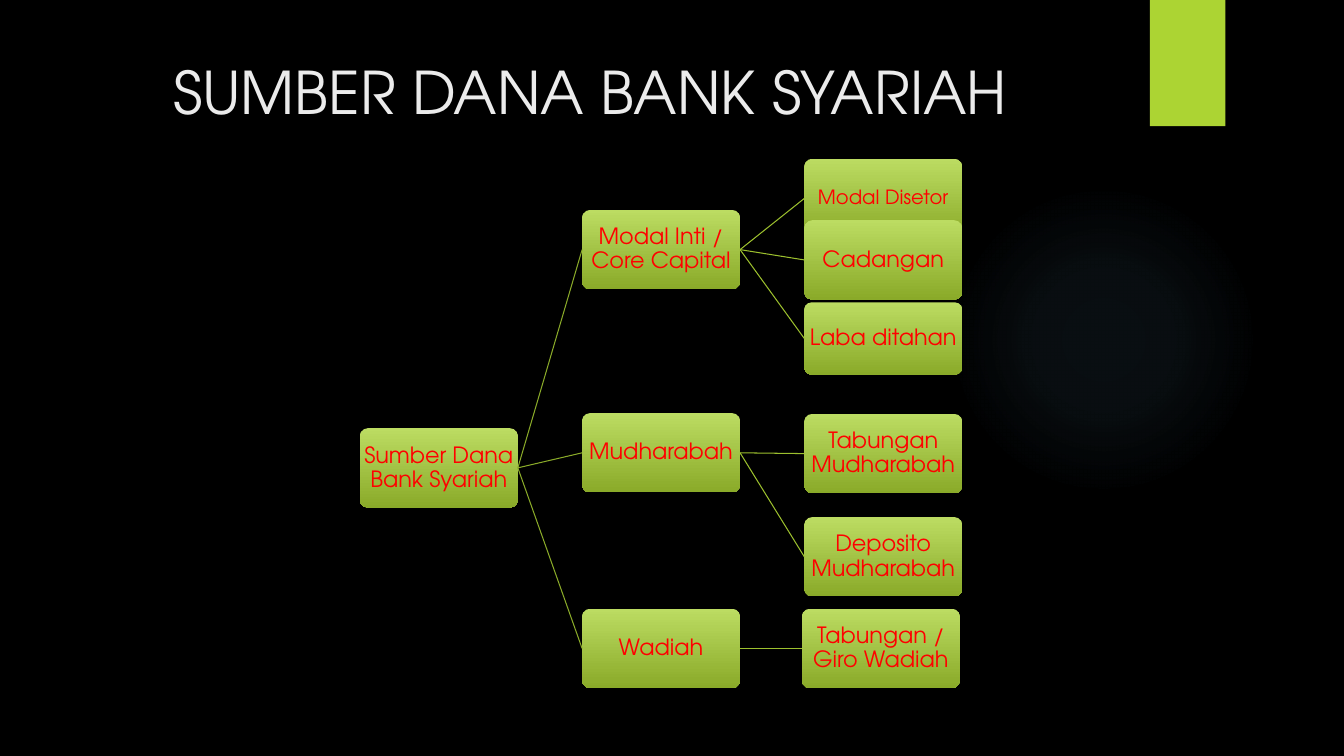
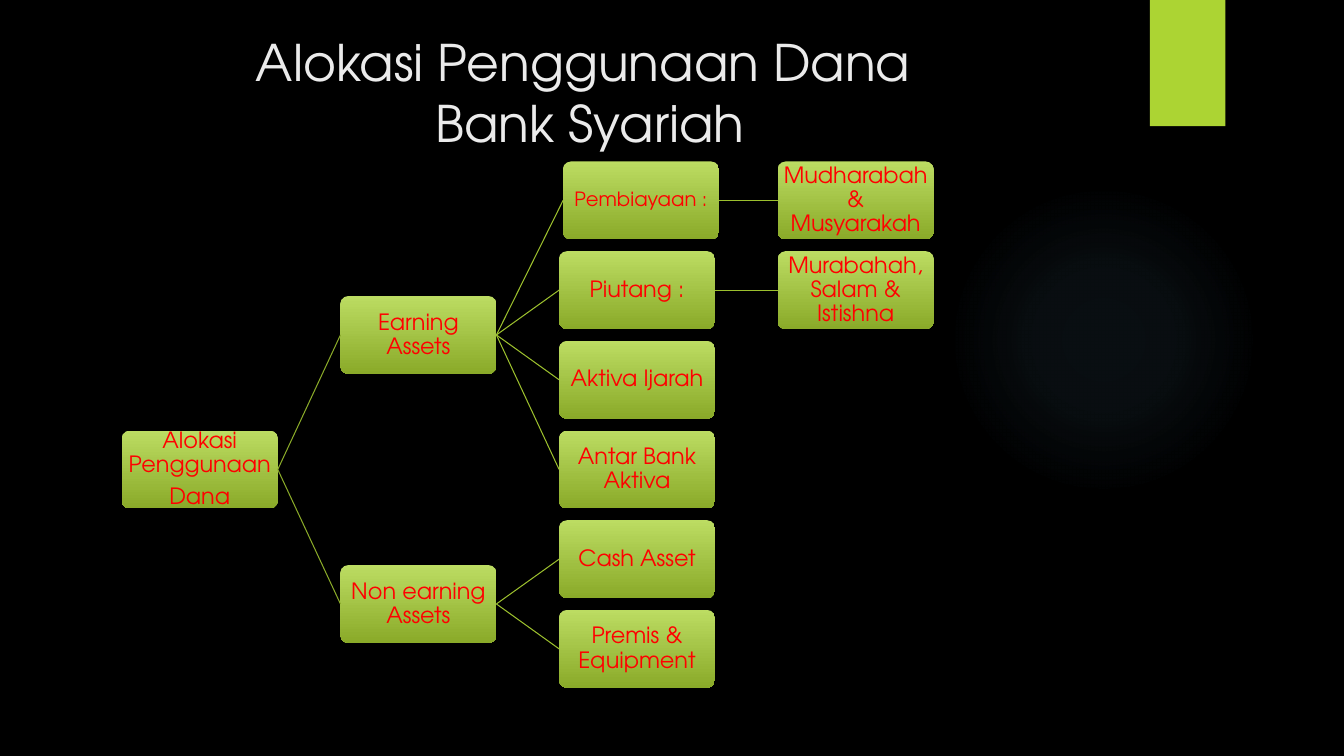
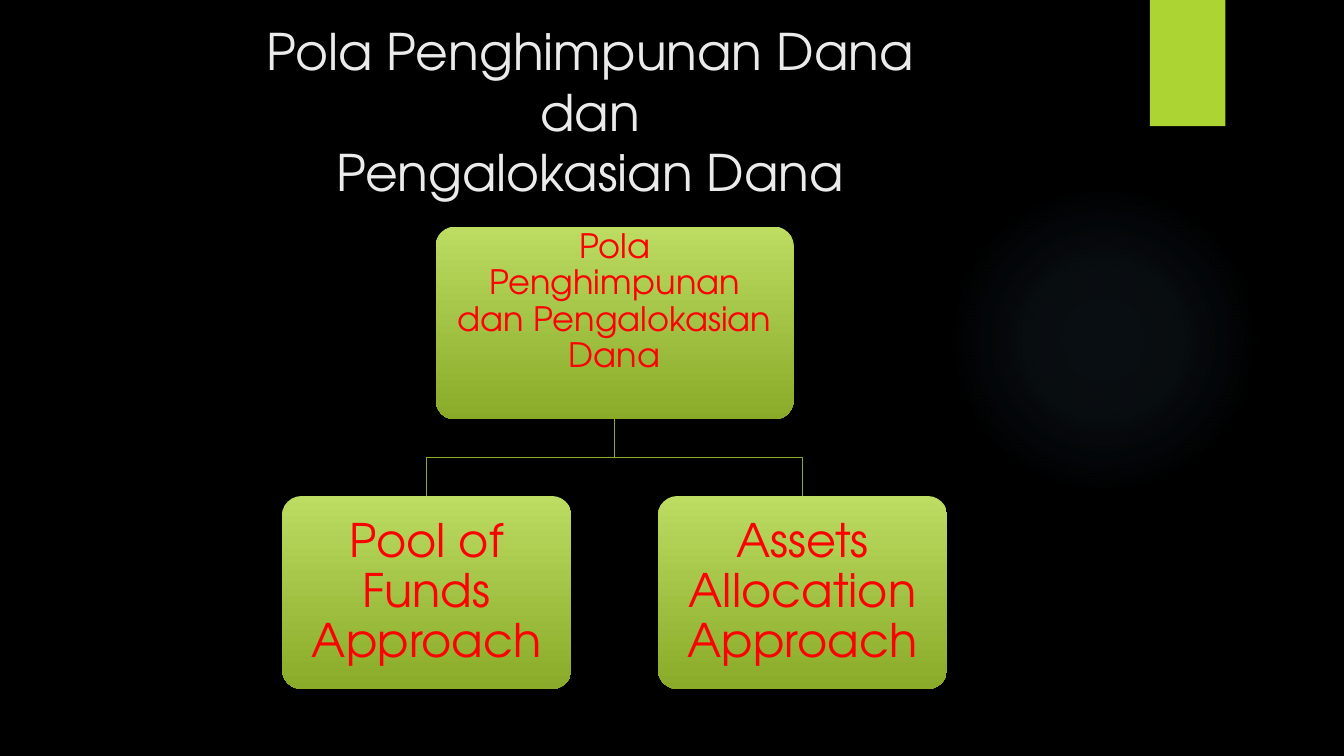
"""Three slides on the sources and uses of funds in sharia banking."""
from dataclasses import dataclass

from lxml import etree
from pptx import Presentation
from pptx.dml.color import RGBColor
from pptx.enum.shapes import MSO_CONNECTOR, MSO_SHAPE
from pptx.enum.text import MSO_ANCHOR, MSO_AUTO_SIZE, PP_ALIGN
from pptx.oxml import parse_xml
from pptx.oxml.ns import qn
from pptx.util import Cm, Pt

ROUND, RECT, OVAL = MSO_SHAPE.ROUNDED_RECTANGLE, MSO_SHAPE.RECTANGLE, MSO_SHAPE.OVAL
STRAIGHT = MSO_CONNECTOR.STRAIGHT
CENTER, TOP, MIDDLE = PP_ALIGN.CENTER, MSO_ANCHOR.TOP, MSO_ANCHOR.MIDDLE
TITLE_ONLY = 5
LEFT_SIDE, RIGHT_SIDE = 1, 3


@dataclass(frozen=True)
class Theme:
    """Colours, font and type sizes."""
    font: str = "TeX Gyre Adventor"
    back: str = "000000"
    title: str = "EBEBEB"
    label: str = "FF0000"
    accent: str = "ACD433"
    glow: str = "7AC4F0"
    box_top: str = "BCDC62"
    box_bottom: str = "8AAA29"
    trunk: str = "8AAA29"
    branch: str = "9CC02E"
    title_big: int = 42
    title_size: int = 36
    node: int = 16
    node_small: int = 14
    chart_root: int = 24
    chart_leaf: int = 33
    line: float = 0.75


T = Theme()

SOURCES = {
    "title": ("SUMBER DANA BANK SYARIAH", 1.27, 3.89, T.title_big),
    "left": 9.07, "step": 5.6, "box": (3.98, 2.0),
    "nodes": [
        ("Sumber Dana Bank Syariah", None, 10.79, {}),
        ("Modal Inti / Core Capital", 0, 5.29, {}),
        ("Modal Disetor", 1, 4.0, {"size": T.node_small}),
        ("Cadangan", 1, 5.55, {}),
        ("Laba ditahan", 1, 7.62, {"height": 1.82}),
        ("Mudharabah", 0, 10.41, {}),
        ("Tabungan Mudharabah", 5, 10.43, {}),
        ("Deposito Mudharabah", 5, 13.03, {}),
        ("Wadiah", 0, 15.34, {}),
        ("Tabungan / Giro Wadiah", 8, 15.34, {"shift": -0.06}),
    ],
}

ROW_TOP, ROW_STEP = 4.07, 2.26
USE_ROWS = [
    ("Alokasi Penggunaan\nDana", None, 3, {}),
    ("Earning Assets", 0, 1.5, {}),
    ("Pembiayaan :", 1, 0, {"size": T.node_small, "shift": 0.1}),
    ("Mudharabah & Musyarakah", 2, 0, {}),
    ("Piutang :", 1, 1, {}),
    ("Murabahah, Salam & Istishna", 4, 1, {}),
    ("Aktiva Ijarah", 1, 2, {}),
    ("Antar Bank Aktiva", 1, 3, {}),
    ("Non earning Assets", 0, 4.5, {}),
    ("Cash Asset", 8, 4, {}),
    ("Premis & Equipment", 8, 5, {}),
]
USES = {
    "title": ("Alokasi Penggunaan Dana \nBank Syariah", 0.66, 2.46, T.title_size),
    "left": 3.07, "step": 5.51, "box": (3.93, 1.96),
    "nodes": [(text, parent, ROW_TOP + ROW_STEP * row, opts)
              for text, parent, row, opts in USE_ROWS],
}

PATTERN_TITLE = ("Pola Penghimpunan Dana\ndan\nPengalokasian Dana", 0.38, 3.89, T.title_size)
PATTERN_ROOT = "Pola Penghimpunan dan Pengalokasian Dana"
PATTERN_LEAVES = ["Pool of Funds Approach", "Assets Allocation Approach"]


def rgb(value):
    return RGBColor.from_string(value)


def add_text(tf, text, *, size, color, spacing=1.0, after=0, anchor=MIDDLE, insets=None):
    tf.word_wrap = True
    tf.auto_size = MSO_AUTO_SIZE.NONE
    tf.vertical_anchor = anchor
    if insets:
        tf.margin_left, tf.margin_top, tf.margin_right, tf.margin_bottom = map(Cm, insets)
    for i, line in enumerate(text.split("\n")):
        p = tf.add_paragraph() if i else tf.paragraphs[0]
        p.alignment = CENTER
        p.line_spacing = spacing
        p.space_after = Pt(after)
        r = p.add_run()
        r.text = line
        r.font.name, r.font.size = T.font, Pt(size)
        r.font.color.rgb = rgb(color)


def add_plain(slide, kind, left, top, width, height):
    sp = slide.shapes.add_shape(kind, Cm(left), Cm(top), Cm(width), Cm(height))
    sp.shadow.inherit = False
    sp.line.fill.background()
    return sp


def add_box(slide, text, left, top, width, height, *, size, insets):
    sp = add_plain(slide, ROUND, left, top, width, height)
    sp.adjustments[0] = 0.1
    sp.fill.gradient()
    sp.fill.gradient_angle = 270
    for stop, color in zip(sp.fill.gradient_stops, (T.box_top, T.box_bottom)):
        stop.color.rgb = rgb(color)
    add_text(sp.text_frame, text, size=size, color=T.label, spacing=0.9,
             after=0.35 * size, insets=insets)
    return sp


def add_link(slide, parent, child, color):
    c = slide.shapes.add_connector(STRAIGHT, 0, 0, 0, 0)
    c.begin_connect(parent, RIGHT_SIDE)
    c.end_connect(child, LEFT_SIDE)
    c.line.color.rgb = rgb(color)
    c.line.width = Pt(T.line)
    etree.SubElement(c.element.spPr, qn("a:effectLst"))


def add_glow(slide):
    sp = add_plain(slide, OVAL, 23.9, 4.65, 7.82, 7.82)
    stops = "".join(
        f'<a:gs pos="{pos * 1000}"><a:srgbClr val="{T.glow}">'
        f'<a:alpha val="{alpha * 1000}"/></a:srgbClr></a:gs>'
        for pos, alpha in ((0, 7), (36, 6), (69, 0)))
    grad = parse_xml(
        '<a:gradFill xmlns:a="http://schemas.openxmlformats.org/drawingml/2006/main">'
        f'<a:gsLst>{stops}</a:gsLst><a:path path="circle">'
        '<a:fillToRect l="50000" t="50000" r="50000" b="50000"/></a:path></a:gradFill>')
    sp.element.spPr.find(qn("a:prstGeom")).addnext(grad)
    return sp


def add_tab(slide):
    sp = add_plain(slide, RECT, 28.98, 0, 1.9, 3.18)
    sp.fill.solid()
    sp.fill.fore_color.rgb = rgb(T.accent)
    return sp


def decorate_master(prs, slide):
    master = prs.slide_master
    master.background.fill.solid()
    master.background.fill.fore_color.rgb = rgb(T.back)
    for i, sp in enumerate((add_glow(slide), add_tab(slide))):
        sp.element.nvSpPr.cNvPr.set("id", str(101 + i))
        master.shapes.element.insert(2 + i, sp.element)


def new_slide(prs, title):
    text, top, height, size = title
    slide = prs.slides.add_slide(prs.slide_layouts[TITLE_ONLY])
    sp = slide.shapes.title
    sp.left, sp.top, sp.width, sp.height = Cm(1.8), Cm(top), Cm(26.14), Cm(height)
    add_text(sp.text_frame, text, size=size, color=T.title, anchor=TOP)
    return slide


def add_tree(prs, tree):
    slide = new_slide(prs, tree["title"])
    width, height = tree["box"]
    boxes, levels = [], []
    for text, parent, top, opts in tree["nodes"]:
        level = 0 if parent is None else levels[parent] + 1
        left = tree["left"] + tree["step"] * level + opts.get("shift", 0)
        sp = add_box(slide, text, left, top, width, opts.get("height", height),
                     size=opts.get("size", T.node), insets=[0.03] * 4)
        if parent is not None:
            add_link(slide, boxes[parent], sp, T.trunk if level == 1 else T.branch)
        boxes.append(sp)
        levels.append(level)
    return slide


def add_elbow(slide, parent, child):
    x1, y1 = parent.left + parent.width // 2, parent.top + parent.height
    x2, y2 = child.left + child.width // 2, child.top
    mid = (y1 + y2) // 2
    fb = slide.shapes.build_freeform(x1, y1)
    fb.add_line_segments([(x1, mid), (x2, mid), (x2, y2)], close=False)
    sp = fb.convert_to_shape()
    sp.shadow.inherit = False
    sp.fill.background()
    sp.line.color.rgb = rgb(T.trunk)
    sp.line.width = Pt(T.line)


def add_pattern(prs):
    slide = new_slide(prs, PATTERN_TITLE)
    center, height, leaf_width, step = 15.49, 4.86, 7.29, 9.47
    root_width = 9.02
    root = add_box(slide, PATTERN_ROOT, center - root_width / 2, 5.71, root_width, height,
                   size=T.chart_root, insets=(0.3, 0, 0.3, 1.06))
    first = center - (step * (len(PATTERN_LEAVES) - 1) + leaf_width) / 2
    for i, text in enumerate(PATTERN_LEAVES):
        leaf = add_box(slide, text, first + step * i, 12.5, leaf_width, height,
                       size=T.chart_leaf, insets=[0.36] * 4)
        add_elbow(slide, root, leaf)


def main():
    prs = Presentation()
    prs.slide_width, prs.slide_height = Cm(33.87), Cm(19.05)
    slide = add_tree(prs, SOURCES)
    decorate_master(prs, slide)
    add_tree(prs, USES)
    add_pattern(prs)
    prs.save("out.pptx")


if __name__ == "__main__":
    main()
